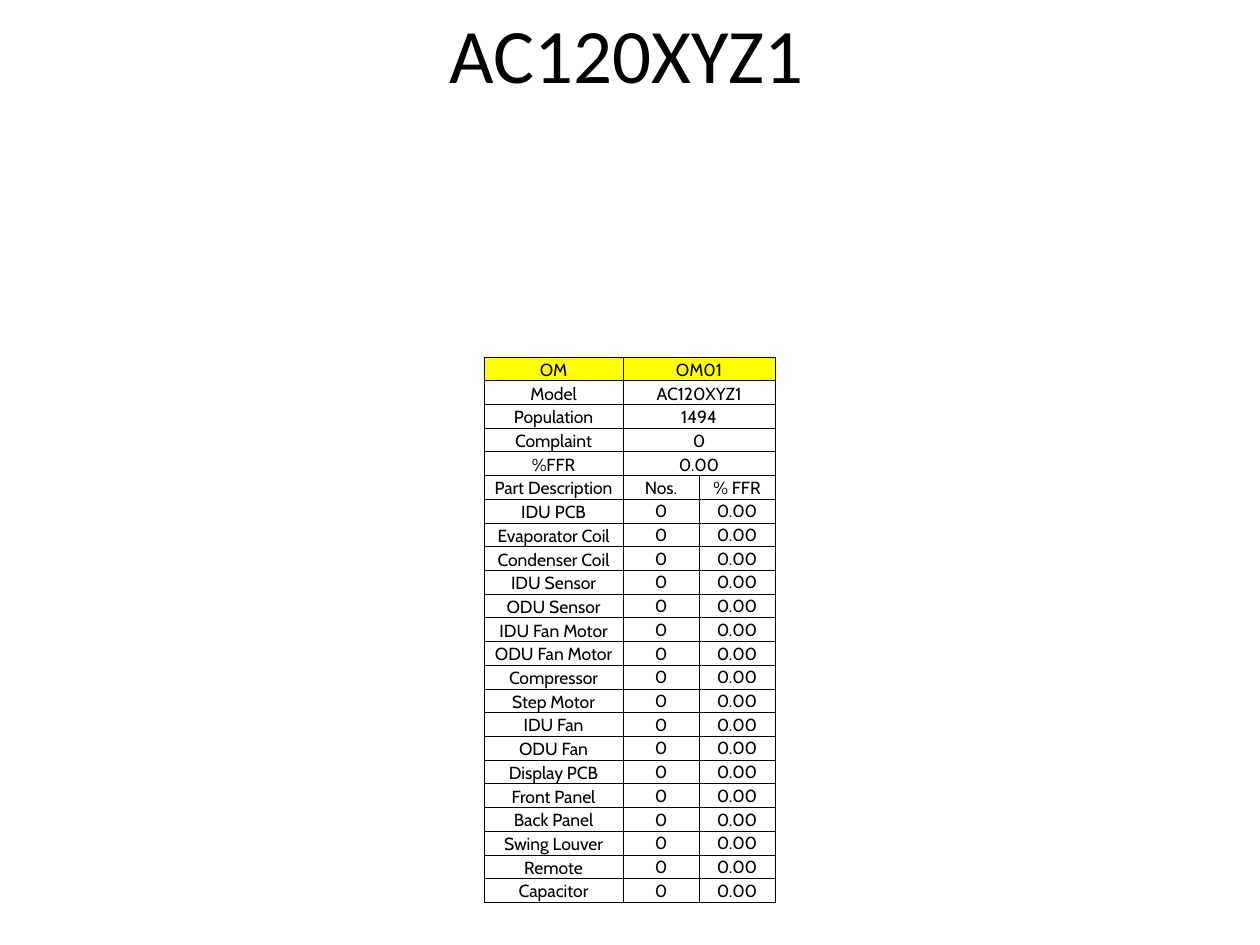
"""Build the failure rate slide for one air conditioner model."""
from pptx import Presentation
from pptx.dml.color import RGBColor
from pptx.enum.text import MSO_ANCHOR, PP_ALIGN
from pptx.oxml.ns import qn
from pptx.util import Emu, Pt
from lxml.etree import SubElement

MODEL = "AC120XYZ1"
SUMMARY = [("OM", "OM01"), ("Model", MODEL), ("Population", "1494"),
           ("Complaint", "0"), ("%FFR", "0.00")]
PARTS = ["IDU PCB", "Evaporator Coil", "Condenser Coil", "IDU Sensor",
         "ODU Sensor", "IDU Fan Motor", "ODU Fan Motor", "Compressor",
         "Step Motor", "IDU Fan", "ODU Fan", "Display PCB", "Front Panel",
         "Back Panel", "Swing Louver", "Remote", "Capacitor"]
ROWS = SUMMARY + [("Part Description", "Nos.", "% FFR")]
ROWS += [(part, "0", "0.00") for part in PARTS]


def px(n):
    return Emu(round(n * 914400 / 126))


def color(value):
    return RGBColor.from_string(value)


def write(tf, text, font="Cabin", size=10, fill="000000"):
    p = tf.paragraphs[0]
    p.alignment = PP_ALIGN.CENTER
    r = p.add_run()
    r.text = text
    r.font.name = font
    r.font.size = Pt(size)
    r.font.color.rgb = color(fill)


class Deck:
    ink = "000000"
    highlight = "FFFF00"
    border = Pt(0.5)

    def __init__(self, prs):
        self.s = prs.slides.add_slide(prs.slide_layouts[6])

    def title(self, text, x, y, w, h):
        sp = self.s.shapes.add_textbox(px(x), px(y), px(w), px(h))
        tf = sp.text_frame
        tf.word_wrap = True
        tf.vertical_anchor = MSO_ANCHOR.MIDDLE
        write(tf, text, font="Calibri", size=44, fill=self.ink)

    def outline(self, cell):
        tc_pr = cell._tc.get_or_add_tcPr()
        for side in ("lnL", "lnR", "lnT", "lnB"):
            ln = SubElement(tc_pr, qn(f"a:{side}"), w=str(self.border))
            fill = SubElement(ln, qn("a:solidFill"))
            SubElement(fill, qn("a:srgbClr"), val=self.ink)

    def cell(self, cell, fill, anchor):
        self.outline(cell)
        if fill:
            cell.fill.solid()
            cell.fill.fore_color.rgb = color(fill)
        else:
            cell.fill.background()
        cell.margin_left = cell.margin_right = cell.margin_top = px(1)
        cell.margin_bottom = 0
        cell.vertical_anchor = anchor

    def table(self, rows, x, y, widths, h):
        frame = self.s.shapes.add_table(len(rows), len(widths), px(x), px(y),
                                        px(sum(widths)), px(h))
        table = frame.table
        table.first_row = table.horz_banding = False
        for column, width in zip(table.columns, widths):
            column.width = px(width)
        for i, values in enumerate(rows):
            table.rows[i].height = px(h / len(rows))
            for j in range(len(widths)):
                is_value = i > len(SUMMARY) and j > 0
                self.cell(table.cell(i, j),
                          self.highlight if i == 0 else None,
                          MSO_ANCHOR.MIDDLE if is_value else MSO_ANCHOR.BOTTOM)
            if len(values) < len(widths):
                table.cell(i, 1).merge(table.cell(i, 2))
            for j, value in enumerate(values):
                write(table.cell(i, j).text_frame, value, fill=self.ink)


def main():
    prs = Presentation()
    prs.slide_width, prs.slide_height = px(1260), px(945)
    deck = Deck(prs)
    deck.title(MODEL, 60, 21, 1134, 63)
    deck.table(ROWS, 484, 357, (139, 76, 76), 546)
    prs.save("out.pptx")


if __name__ == "__main__":
    main()
